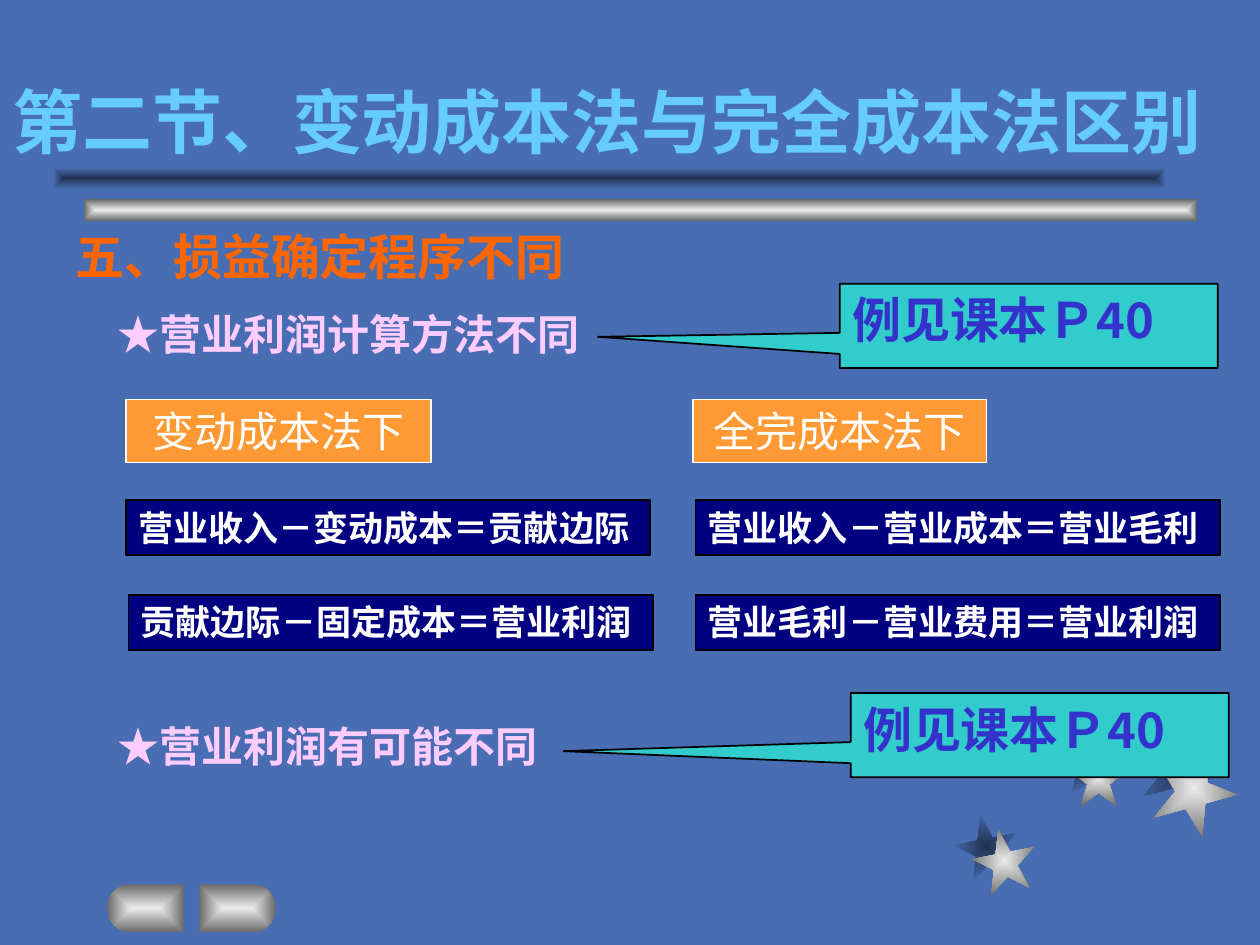
import math
from lxml import etree
from pptx import Presentation
from pptx import util as u
from pptx.dml import color
from pptx.enum import shapes, text
from pptx.oxml import ns

CJK = "Noto Sans CJK SC"
SILVER = ("EAEAEA", "6B6B6B")
SHADE = ("213252", "496DB2")


def rgb(value):
    return color.RGBColor.from_string(value)


class Deck:
    BACKGROUND = "496DB2"
    ORANGE, NAVY, TEAL = "FF9933", "000080", "33CCCC"
    WHITE, BLACK, BLUE, PINK = "FFFFFF", "000000", "3333CC", "FFCCFF"

    def __init__(self):
        self.prs = Presentation()
        self.prs.slide_width, self.prs.slide_height = u.Cm(25.4), u.Cm(19.05)
        self.s = self.prs.slides.add_slide(self.prs.slide_layouts[6])
        fill = self.s.background.fill
        fill.solid()
        fill.fore_color.rgb = rgb(self.BACKGROUND)

    def gradient(self, sp, colors):
        """Fill from the centre outwards, without an outline."""
        sp.shadow.inherit = False
        sp.line.fill.background()
        sp.fill.gradient()
        for stop, value in zip(sp.fill.gradient_stops, colors):
            stop.color.rgb = rgb(value)
        lin = sp._element.spPr.find(".//" + ns.qn("a:lin"))
        centred = etree.Element(ns.qn("a:path"), {"path": "rect"})
        etree.SubElement(centred, ns.qn("a:fillToRect"),
                         {side: "50000" for side in "ltrb"})
        lin.getparent().replace(lin, centred)

    def ornament(self, kind, left, top, width, height, colors, rotation=0):
        sp = self.s.shapes.add_shape(kind, u.Cm(left), u.Cm(top),
                                     u.Cm(width), u.Cm(height))
        sp.rotation = rotation
        self.gradient(sp, colors)

    def button(self, flat, side):
        """Button with a straight edge at flat, rounded towards side (-1 or 1)."""
        rx, ry, body, middle = 0.44, 0.48, 1.11, 18.31
        points = [(flat, middle - ry)]
        for step in range(13):
            angle = math.pi * (step / 12 - 0.5)
            points.append((flat + side * (body + rx * math.cos(angle)),
                           middle + ry * math.sin(angle)))
        points.append((flat, middle + ry))
        points = [(u.Cm(x), u.Cm(y)) for x, y in points]
        outline = self.s.shapes.build_freeform(*points[0])
        outline.add_line_segments(points[1:], close=True)
        self.gradient(outline.convert_to_shape(), SILVER)

    def font(self, font, size, value, bold, name):
        font.size, font.bold, font.name = u.Pt(size), bold, name
        font.color.rgb = rgb(value)
        etree.SubElement(font._element, ns.qn("a:ea"), typeface=name)

    def put_text(self, sp, words, size, value, bold=True, name=CJK, wrap=True,
                 anchor=text.MSO_ANCHOR.TOP, align=text.PP_ALIGN.LEFT):
        tf = sp.text_frame
        tf.word_wrap, tf.vertical_anchor = wrap, anchor
        p = tf.paragraphs[0]
        p.alignment = align
        p.text = words
        self.font(p.font, size, value, bold, name)

    def label(self, left, top, width, height, words, size, value,
              anchor=text.MSO_ANCHOR.TOP):
        sp = self.s.shapes.add_textbox(u.Cm(left), u.Cm(top),
                                       u.Cm(width), u.Cm(height))
        self.put_text(sp, words, size, value, anchor=anchor)

    def bullet(self, top, words):
        sp = self.s.shapes.add_textbox(u.Cm(2.12), u.Cm(top), u.Cm(12.2), u.Cm(1.27))
        tf = sp.text_frame
        tf.word_wrap = True
        p = tf.paragraphs[0]
        for part, name in (("★", "Arial"), (words, CJK)):
            r = p.add_run()
            r.text = part
            self.font(r.font, 24, self.PINK, True, name)

    def box(self, kind, left, top, width, height, fill, line, weight):
        sp = self.s.shapes.add_shape(kind, u.Cm(left), u.Cm(top),
                                     u.Cm(width), u.Cm(height))
        sp.shadow.inherit = False
        sp.fill.solid()
        sp.fill.fore_color.rgb = rgb(fill)
        sp.line.color.rgb = rgb(line)
        sp.line.width = u.Pt(weight)
        return sp

    def heading(self, left, width, words):
        sp = self.box(shapes.MSO_SHAPE.RECTANGLE, left, 8.05, width, 1.27,
                      self.ORANGE, self.WHITE, 0.75)
        self.put_text(sp, words, 24, self.WHITE, bold=False, name="Roboto", wrap=False,
                      anchor=text.MSO_ANCHOR.MIDDLE, align=text.PP_ALIGN.CENTER)

    def formula(self, left, top, words):
        sp = self.box(shapes.MSO_SHAPE.RECTANGLE, left, top, 10.57, 1.11,
                      self.NAVY, self.BLACK, 1)
        self.put_text(sp, words, 20, self.WHITE, wrap=False)

    def callout(self, left, top, tip):
        sp = self.box(shapes.MSO_SHAPE.RECTANGULAR_CALLOUT, left, top, 7.62, 1.7,
                      self.TEAL, self.BLACK, 1)
        sp.adjustments[0], sp.adjustments[1] = tip
        self.put_text(sp, "例见课本Ｐ40", 28, self.BLUE)


def main():
    deck = Deck()
    star, bar = shapes.MSO_SHAPE.STAR_5_POINT, shapes.MSO_SHAPE.RECTANGLE
    stars = [  # size, rotation, shade position, silver position
        (1.27, 349, (19.25, 16.43), (19.61, 16.71)),
        (1.17, 0, (21.36, 14.86), (21.56, 15.09)),
        (1.7, 22, (23.01, 14.61), (23.22, 15.04)),
    ]
    for layer, colors in enumerate((SHADE, SILVER)):
        for size, rotation, *places in stars:
            deck.ornament(star, *places[layer], size, size, colors, rotation)
    deck.ornament(bar, 1.7, 4.02, 22.43, 0.43, SILVER)
    deck.ornament(bar, 1.07, 3.38, 22.43, 0.43, SHADE)
    deck.button(3.71, -1)
    deck.button(4.01, 1)

    deck.label(0, 1.7, 25.4, 1.7, "第二节、变动成本法与完全成本法区别", 40, "66CCFF",
               text.MSO_ANCHOR.BOTTOM)
    deck.label(1.27, 4.45, 19.05, 1.45, "五、损益确定程序不同", 28, "FF6600")
    deck.heading(2.54, 6.15, "变动成本法下")
    deck.heading(13.97, 5.92, "全完成本法下")
    deck.formula(2.54, 10.08, "营业收入－变动成本＝贡献边际")
    deck.formula(2.59, 11.99, "贡献边际－固定成本＝营业利润")
    deck.formula(14.02, 10.08, "营业收入－营业成本＝营业毛利")
    deck.formula(14.02, 11.99, "营业毛利－营业费用＝营业利润")
    deck.bullet(6.1, "营业利润计算方法不同")
    deck.bullet(14.4, "营业利润有可能不同")
    deck.callout(16.93, 5.72, (-1.14, 0.13))
    deck.callout(17.15, 13.97, (-1.26, 0.19))
    deck.prs.save("out.pptx")


if __name__ == "__main__":
    main()
